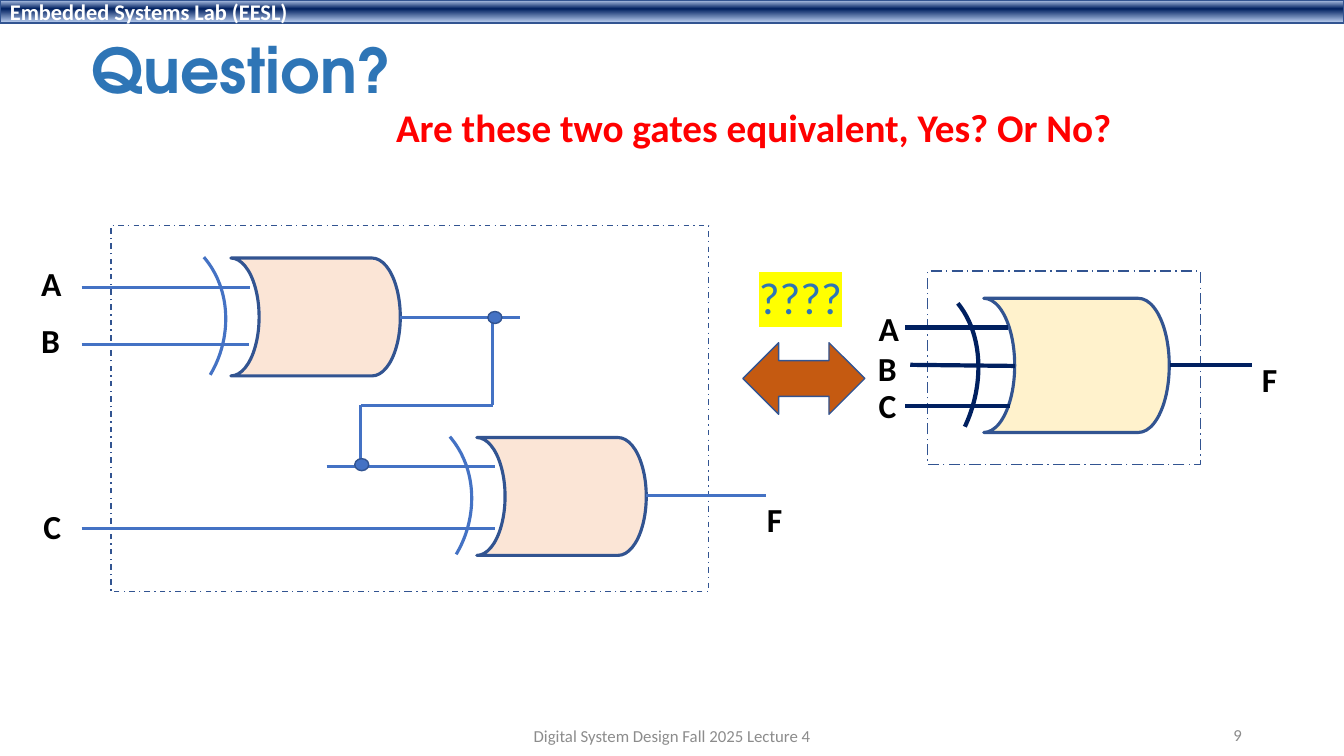
from lxml.etree import SubElement
from pptx import Presentation
from pptx.dml.color import RGBColor
from pptx.enum.dml import MSO_LINE
from pptx.enum.shapes import MSO_CONNECTOR, MSO_SHAPE
from pptx.enum.text import MSO_ANCHOR, PP_ALIGN
from pptx.oxml import parse_xml
from pptx.oxml.ns import nsdecls, qn
from pptx.util import Pt

COLORS = {
    "navy": "002060", "edge": "325491", "wire": "4472C4", "title": "2E75B6",
    "peach": "FBE5D6", "cream": "FFF2CC", "arrow": "C55A11", "red": "FF0000",
    "black": "000000", "white": "FFFFFF", "gray": "8C8C8C", "yellow": "FFFF00",
    "bar_top": "ABC0E4", "bar_end": "ACC1E5",
}
TITLE = "Question?"
HEADER = "Embedded Systems Lab (EESL)"
HEADER_STOPS = [(2, "bar_top"), (38, "navy"), (93, "bar_end")]
PROMPT = "Are these two gates equivalent, Yes? Or No?"
MARKS = "????"
FOOTER = "Digital System Design Fall 2025 Lecture 4"
NUMBER = "9"

STAGES = [(164.9, 184.3), (340.6, 312.5)]
STAGE_GATE = (121, 84.2)
STAGE_ARC = (-124.6, -20.1, 120.2, 137.5)
IN_X, DROP_X, TURN_X = 58.3, 352.1, 257.8
A_Y, B_Y, C_Y = 205.2, 246.2, 377.3
OUT_Y, TURN_Y, NEXT_Y, F_Y = 226.8, 289.4, 333.4, 354.2

CASCADE = {
    "frame": (79.2, 161.3, 427, 261.4), "dash": MSO_LINE.DASH_DOT,
    "gates": [(x, y, *STAGE_GATE) for x, y in STAGES],
    "arcs": [(x + STAGE_ARC[0], y + STAGE_ARC[1], *STAGE_ARC[2:]) for x, y in STAGES],
    "turn": 17.2, "sweep": (177.238, 10.641),
    "fill": "peach", "ink": "wire", "weight": 2.25,
    "wires": [
        (IN_X, A_Y, 178.5, A_Y), (IN_X, B_Y, 178, B_Y), (IN_X, C_Y, 353.5, C_Y),
        (285.9, OUT_Y, 371.5, OUT_Y), (DROP_X, OUT_Y, DROP_X, TURN_Y),
        (DROP_X, TURN_Y, TURN_X, TURN_Y), (TURN_X, TURN_Y, TURN_X, NEXT_Y),
        (233.3, NEXT_Y, 353.5, NEXT_Y), (461.6, F_Y, 547.2, F_Y),
    ],
    "dots": [(348.5, 222.5, 10, 8.6), (253.4, 327.6, 10, 8.6)],
    "labels": [("A", 22.3, 184.3), ("B", 22.3, 224.9), ("C", 23.8, 357.8), ("F", 540.7, 352.8)],
}
SINGLE = {
    "frame": (662.4, 193.7, 195.1, 138.2), "dash": MSO_LINE.LONG_DASH_DOT,
    "gates": [(702.7, 213.1, 132.5, 95.8)],
    "arcs": [(575.3, 196.6, 121, 158.4)],
    "turn": 20.4, "sweep": (173.337, 4.866),
    "fill": "cream", "ink": "navy", "weight": 3,
    "wires": [
        (646.6, 234, 720, 234), (650.2, 260.6, 725, 261.4),
        (646.6, 290.2, 721.4, 290.2), (835.9, 260.6, 894.2, 260.6),
    ],
    "dots": [],
    "labels": [("A", 620.6, 216.3), ("B", 619.9, 244.8), ("C", 620.6, 271.4), ("F", 894.2, 252.7)],
}


def color(name):
    return RGBColor.from_string(COLORS[name])


def write(shape, text, size, ink, bold=False, font="Calibri",
          align=PP_ALIGN.LEFT, anchor=MSO_ANCHOR.TOP, wrap=False):
    frame = shape.text_frame
    frame.text = text
    for name, value in {"word_wrap": wrap, "vertical_anchor": anchor}.items():
        setattr(frame, name, value)
    para = frame.paragraphs[0]
    para.alignment = align
    span = para.runs[0]
    for name, value in {"size": Pt(size), "bold": bold, "name": font}.items():
        setattr(span.font, name, value)
    span.font.color.rgb = color(ink)
    return span


def add_text(area, box, text, size, ink, **options):
    return write(area.add_textbox(*map(Pt, box)), text, size, ink, **options)


def draw(area, kind, box, fill=None, line="edge", weight=1, turn=0):
    shape = area.add_shape(kind, *map(Pt, box))
    shape.shadow.inherit = False
    shape.rotation = turn
    if fill:
        shape.fill.solid()
        shape.fill.fore_color.rgb = color(fill)
    else:
        shape.fill.background()
    shape.line.color.rgb = color(line)
    shape.line.width = Pt(weight)
    return shape


def draw_wire(area, ends, ink, weight):
    wire = area.add_connector(MSO_CONNECTOR.STRAIGHT, *map(Pt, ends))
    wire.line.color.rgb = color(ink)
    wire.line.width = Pt(weight)
    SubElement(wire._element.spPr, qn("a:effectLst"))


def draw_circuit(page, circuit):
    area = page.shapes.add_group_shape().shapes
    ink, weight = circuit["ink"], circuit["weight"]
    draw(area, MSO_SHAPE.RECTANGLE, circuit["frame"]).line.dash_style = circuit["dash"]
    for box in circuit["gates"]:
        draw(area, MSO_SHAPE.FLOWCHART_STORED_DATA, box, circuit["fill"], weight=2.25, turn=180)
    for box in circuit["arcs"]:
        arc = draw(area, MSO_SHAPE.ARC, box, line=ink, weight=weight, turn=circuit["turn"])
        for index, value in enumerate(circuit["sweep"]):
            arc.adjustments[index] = value
    for ends in circuit["wires"]:
        draw_wire(area, ends, ink, weight)
    for box in circuit["dots"]:
        draw(area, MSO_SHAPE.OVAL, box, ink)
    for text, left, top in circuit["labels"]:
        add_text(area, (left, top, 23, 36), text, 24, "black", bold=True)


def draw_header(page):
    bar = draw(page.shapes, MSO_SHAPE.RECTANGLE, (0, 0, 960, 16.6), "navy")
    write(bar, HEADER, 16, "white", bold=True, anchor=MSO_ANCHOR.MIDDLE, wrap=True)
    for side in ("margin_top", "margin_bottom"):
        setattr(bar.text_frame, side, Pt(0))
    stops = "".join(
        f'<a:gs pos="{percent * 1000}"><a:srgbClr val="{COLORS[name]}"/></a:gs>'
        for percent, name in HEADER_STOPS)
    solid = bar._element.spPr.find(qn("a:solidFill"))
    solid.getparent().replace(solid, parse_xml(
        f'<a:gradFill {nsdecls("a")} rotWithShape="1"><a:gsLst>{stops}</a:gsLst>'
        '<a:lin ang="5400000" scaled="0"/></a:gradFill>'))


def draw_title(page):
    title = page.shapes.title
    place = {"left": 58.3, "top": 17.3, "width": 828, "height": 69.8}
    for name, value in place.items():
        setattr(title, name, Pt(value))
    write(title, TITLE, 44, "title", bold=True, font="TeX Gyre Adventor",
          anchor=MSO_ANCHOR.MIDDLE, wrap=True)
    title.text_frame.paragraphs[0].line_spacing = 0.9


def main():
    deck = Presentation()
    deck.slide_width, deck.slide_height = Pt(960), Pt(540)
    page = deck.slides.add_slide(deck.slide_layouts[5])
    draw_header(page)
    draw_title(page)
    add_text(page.shapes, (275.8, 70, 532, 75), PROMPT, 28, "red", bold=True)
    for circuit in (SINGLE, CASCADE):
        draw_circuit(page, circuit)
    draw(page.shapes, MSO_SHAPE.LEFT_RIGHT_ARROW, (530.6, 244.8, 87.1, 51.1), "arrow")
    marks = add_text(page.shapes, (535, 189.4, 74.9, 46), MARKS, 32, "title")
    marks._r.rPr.find(qn("a:solidFill")).addnext(parse_xml(
        f'<a:highlight {nsdecls("a")}><a:srgbClr val="{COLORS["yellow"]}"/></a:highlight>'))
    add_text(page.shapes, (318.2, 511.2, 324, 28.8), FOOTER, 12, "gray",
             align=PP_ALIGN.CENTER, anchor=MSO_ANCHOR.MIDDLE, wrap=True)
    add_text(page.shapes, (678.2, 510.5, 216, 28.8), NUMBER, 12, "gray",
             align=PP_ALIGN.RIGHT, anchor=MSO_ANCHOR.MIDDLE, wrap=True)
    deck.save("out.pptx")


if __name__ == "__main__":
    main()
